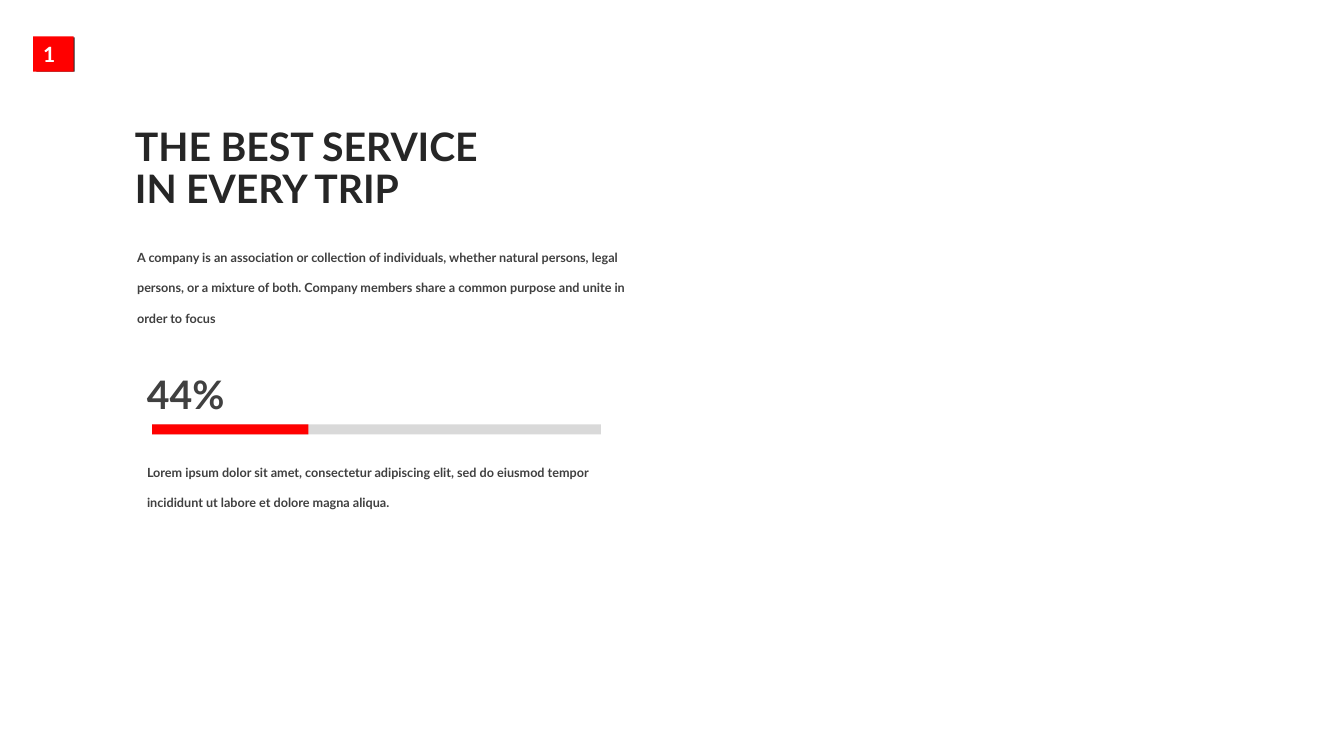
from dataclasses import dataclass

from pptx import Presentation
from pptx.dml.color import RGBColor
from pptx.enum.shapes import MSO_SHAPE
from pptx.enum.text import MSO_ANCHOR, PP_ALIGN
from pptx.slide import Slide
from pptx.util import Emu, Pt

EMU_PER_PX = 9144  # 100 px to the inch
FONT = "Lato"
COLORS = {
    "accent": "FF0000",
    "track": "D9D9D9",
    "heading": "262626",
    "body": "404040",
    "white": "FFFFFF",
}


@dataclass(frozen=True)
class Box:
    left: int
    top: int
    width: int
    height: int

    def emu(self) -> list[Emu]:
        return [px(n) for n in (self.left, self.top, self.width, self.height)]


@dataclass(frozen=True)
class Bar:
    box: Box
    color: str


@dataclass(frozen=True)
class Label:
    box: Box
    text: str
    size: int
    color: str
    line_spacing: float = 1.0
    margin_x: int = 10
    margin_y: int = 5
    anchor: MSO_ANCHOR = MSO_ANCHOR.TOP


BADGE = Box(33, 36, 40, 35)

BARS = [
    Bar(Box(151, 421, 445, 10), "track"),
    Bar(Box(151, 421, 155, 10), "accent"),
    Bar(Box(36, 37, 38, 34), "heading"),
    Bar(BADGE, "accent"),
]

LABELS = [
    Label(
        Box(136, 233, 492, 91),
        "A company is an association or collection of individuals, whether natural "
        "persons, legal persons, or a mixture of both. Company members share a common "
        "purpose and unite in order to focus",
        9, "body", line_spacing=2.0, margin_x=0, margin_y=0,
    ),
    Label(
        Box(124, 104, 407, 129), "THE BEST SERVICE IN EVERY TRIP",
        28, "heading", line_spacing=0.9, anchor=MSO_ANCHOR.MIDDLE,
    ),
    Label(
        Box(136, 441, 492, 67),
        "Lorem ipsum dolor sit amet, consectetur adipiscing elit, sed do eiusmod "
        "tempor incididunt ut labore et dolore magna aliqua.",
        9, "body", line_spacing=2.0,
    ),
    Label(Box(136, 362, 104, 57), "44%", 28, "body"),
    Label(BADGE, "1", 15, "white"),
]


def px(length: int) -> Emu:
    return Emu(length * EMU_PER_PX)


def rgb(name: str) -> RGBColor:
    return RGBColor.from_string(COLORS[name])


def draw_bar(slide: Slide, bar: Bar) -> None:
    shape = slide.shapes.add_shape(MSO_SHAPE.RECTANGLE, *bar.box.emu())
    shape.shadow.inherit = False
    shape.fill.solid()
    shape.fill.fore_color.rgb = rgb(bar.color)
    shape.line.fill.background()


def draw_label(slide: Slide, label: Label) -> None:
    frame = slide.shapes.add_textbox(*label.box.emu()).text_frame
    frame.word_wrap = True
    frame.vertical_anchor = label.anchor
    frame.margin_left = frame.margin_right = px(label.margin_x)
    frame.margin_top = frame.margin_bottom = px(label.margin_y)
    paragraph = frame.paragraphs[0]
    paragraph.alignment = PP_ALIGN.LEFT
    paragraph.line_spacing = label.line_spacing
    run = paragraph.add_run()
    run.text = label.text
    run.font.name = FONT
    run.font.size = Pt(label.size)
    run.font.bold = True
    run.font.color.rgb = rgb(label.color)


def main() -> None:
    presentation = Presentation()
    presentation.slide_width = px(1333)
    presentation.slide_height = px(750)
    slide = presentation.slides.add_slide(presentation.slide_layouts[6])
    slide.background.fill.solid()
    slide.background.fill.fore_color.rgb = rgb("white")
    for bar in BARS:
        draw_bar(slide, bar)
    for label in LABELS:
        draw_label(slide, label)
    presentation.save("out.pptx")


if __name__ == "__main__":
    main()
